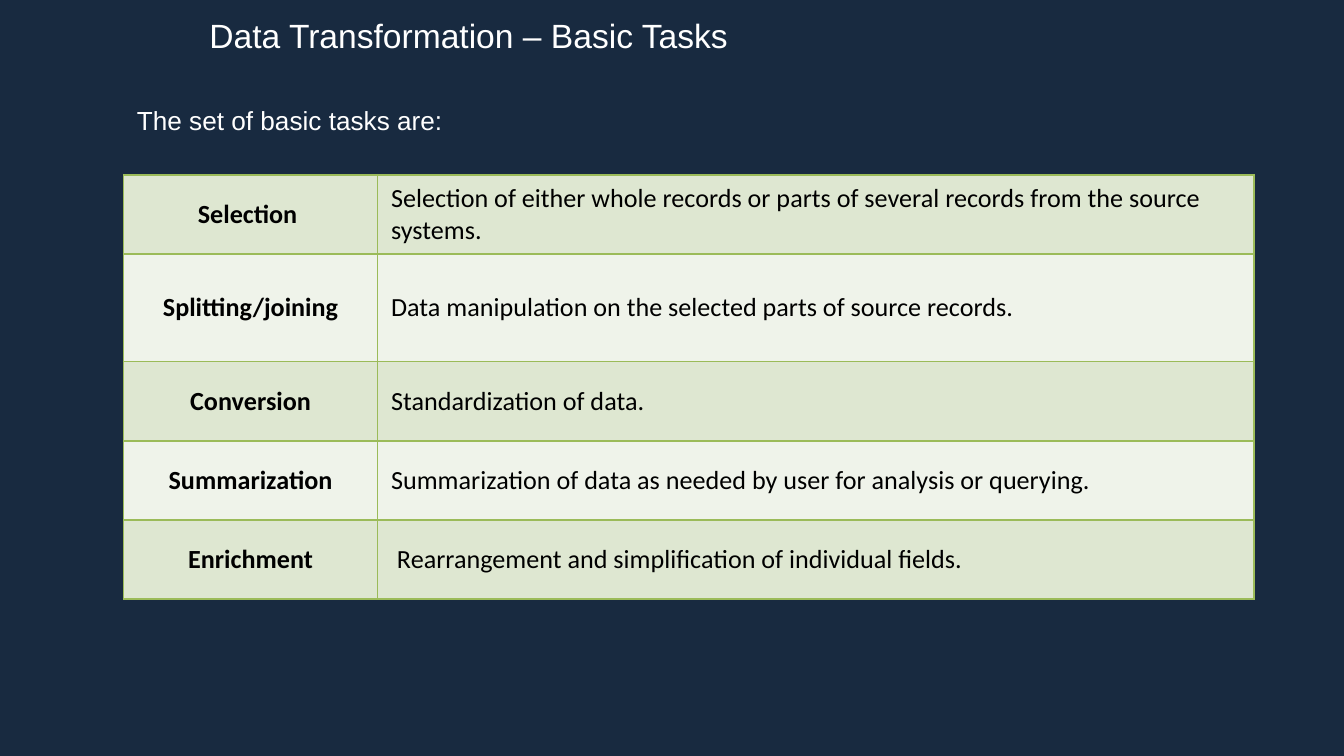
from lxml import etree
from pptx import Presentation
from pptx.dml.color import RGBColor
from pptx.enum.text import MSO_ANCHOR, PP_ALIGN
from pptx.oxml.ns import qn
from pptx.util import Inches, Pt

LEFT, CENTER = PP_ALIGN.LEFT, PP_ALIGN.CENTER
MIDDLE = MSO_ANCHOR.MIDDLE

SLIDE_WIDTH = 10
SLIDE_HEIGHT = SLIDE_WIDTH * 9 / 16
COLORS = {
    "background": "182A40",
    "light": "FFFFFF",
    "dark": "000000",
    "border": "9BBB59",
    "bands": ("DEE7D1", "EFF3EA"),
}
HEADINGS = [
    # text, (left, top, width, height), size, wraps
    ("Data Transformation – Basic Tasks", (1.46, 0.06, 4.1, 0.4), 18, False),
    ("The set of basic tasks are:", (0.92, 0.73, 4.75, 0.57), 14, True),
]
TASKS = [
    ("Selection ", "Selection of either whole records or parts of several records "
                   "from the source systems."),
    ("Splitting/joining", "Data manipulation on the selected parts of source records."),
    ("Conversion", "Standardization of data."),
    ("Summarization", "Summarization of data as needed by user for analysis or querying."),
    ("Enrichment", " Rearrangement and simplification of individual fields."),
]
TABLE_LEFT, TABLE_TOP = 0.92, 1.3
COLUMN_WIDTHS = (1.89, 6.52)
ROW_HEIGHT = 0.59
TALL_ROWS = {"Splitting/joining": 0.8}
COLUMN_FORMATS = ({"bold": True, "align": CENTER}, {"bold": False, "align": LEFT})


def write(frame, text, font, size, color, bold=False, align=LEFT):
    paragraph = frame.paragraphs[0]
    paragraph.alignment = align
    run = paragraph.add_run()
    run.text = text
    for name, value in {"name": font, "size": Pt(size), "bold": bold}.items():
        setattr(run.font, name, value)
    run.font.color.rgb = RGBColor.from_string(color)


def add_borders(cell):
    """Draw a one-point line on all sides; borders must precede the cell fill."""
    properties = cell._tc.get_or_add_tcPr()
    for position, side in enumerate(("a:lnL", "a:lnR", "a:lnT", "a:lnB")):
        line = etree.Element(qn(side), w=str(Pt(1)))
        fill = etree.SubElement(line, qn("a:solidFill"))
        etree.SubElement(fill, qn("a:srgbClr"), val=COLORS["border"])
        properties.insert(position, line)


def add_heading(slide, text, box, size, wraps):
    frame = slide.shapes.add_textbox(*map(Inches, box)).text_frame
    frame.word_wrap = wraps
    write(frame, text, "Arial", size, COLORS["light"])


def add_task_table(slide):
    heights = [TALL_ROWS.get(name, ROW_HEIGHT) for name, _ in TASKS]
    box = (TABLE_LEFT, TABLE_TOP, sum(COLUMN_WIDTHS), sum(heights))
    table = slide.shapes.add_table(
        len(TASKS), len(COLUMN_WIDTHS), *map(Inches, box)).table
    table.first_row = table.horz_banding = False
    for column, width in zip(table.columns, COLUMN_WIDTHS):
        column.width = Inches(width)
    for index, (task, height) in enumerate(zip(TASKS, heights)):
        row = table.rows[index]
        row.height = Inches(height)
        for cell, text, style in zip(row.cells, task, COLUMN_FORMATS):
            cell.vertical_anchor = MIDDLE
            cell.fill.solid()
            cell.fill.fore_color.rgb = RGBColor.from_string(COLORS["bands"][index % 2])
            add_borders(cell)
            write(cell.text_frame, text, "Calibri", 14, COLORS["dark"], **style)


def main():
    presentation = Presentation()
    presentation.slide_width = Inches(SLIDE_WIDTH)
    presentation.slide_height = Inches(SLIDE_HEIGHT)
    slide = presentation.slides.add_slide(presentation.slide_layouts[6])
    background = slide.background.fill
    background.solid()
    background.fore_color.rgb = RGBColor.from_string(COLORS["background"])
    for heading in HEADINGS:
        add_heading(slide, *heading)
    add_task_table(slide)
    presentation.save("out.pptx")


if __name__ == "__main__":
    main()
